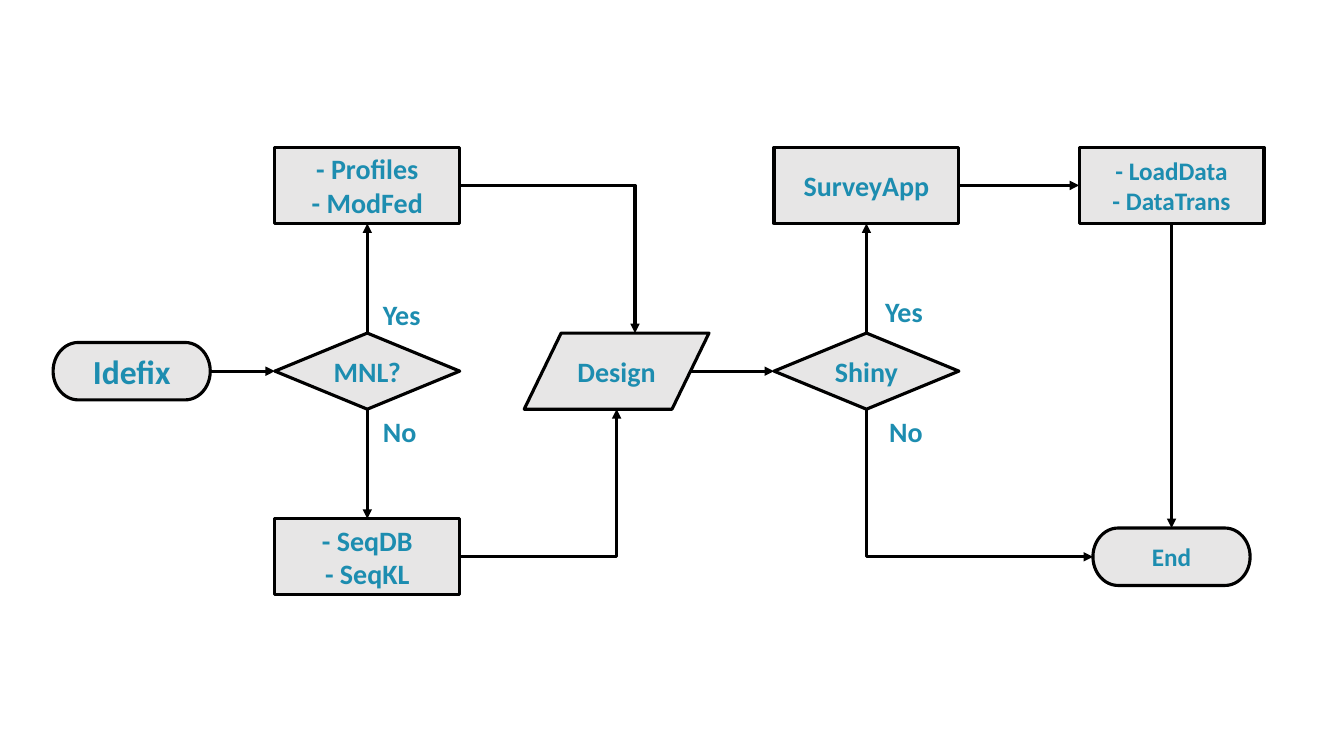
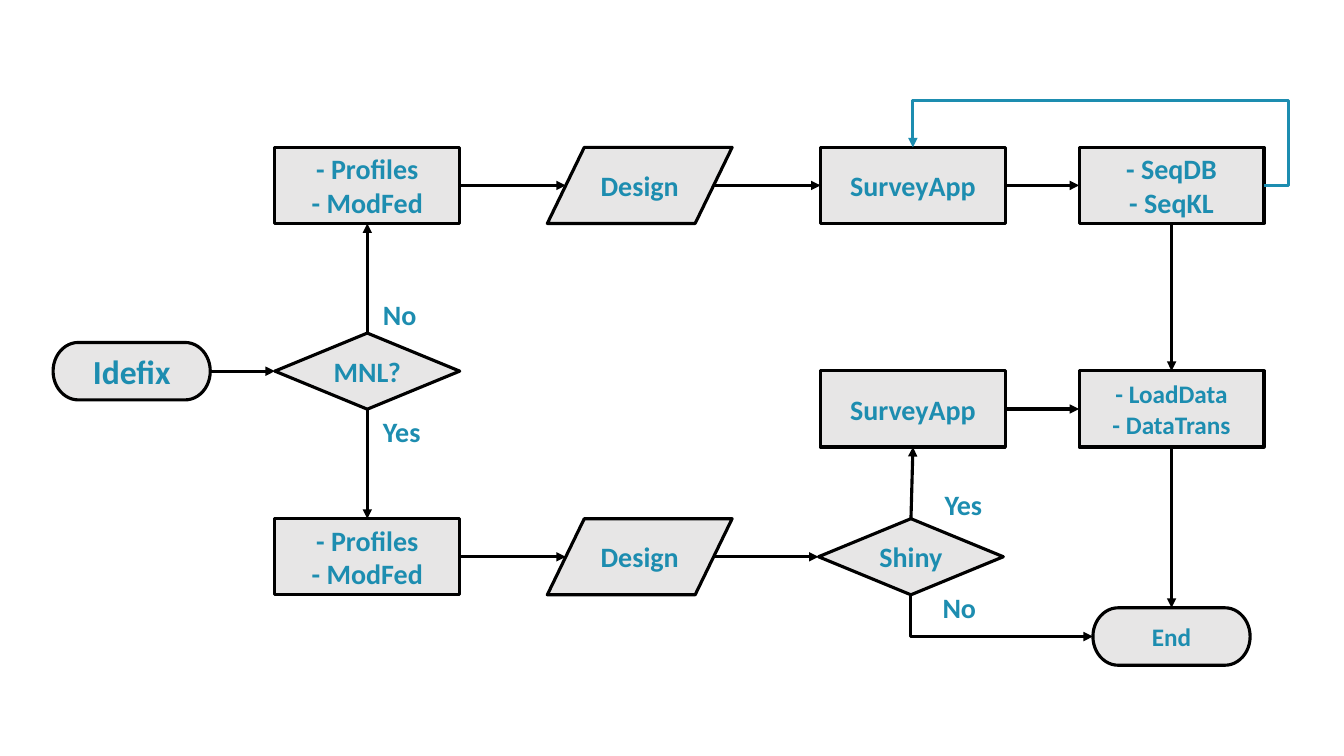
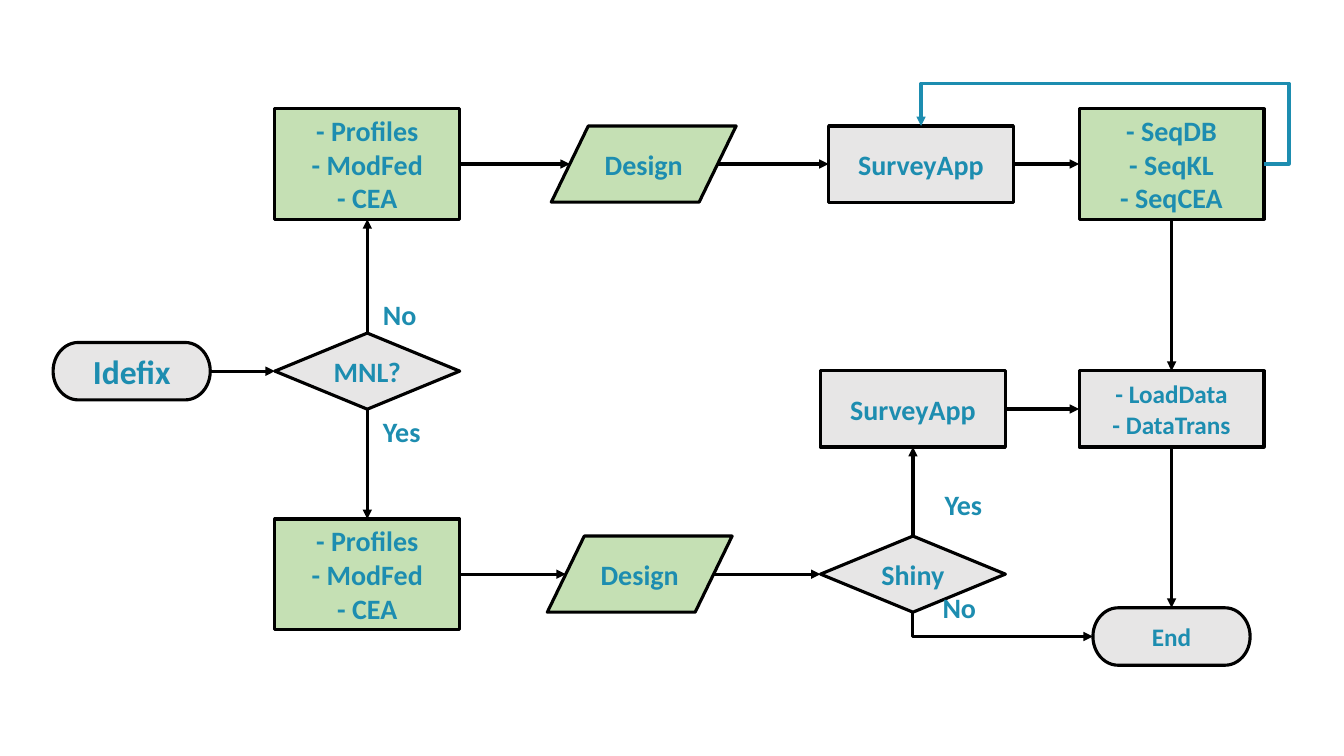
from lxml.etree import SubElement
from pptx import Presentation
from pptx.dml.color import RGBColor
from pptx.enum.shapes import MSO_CONNECTOR, MSO_SHAPE
from pptx.enum.text import MSO_ANCHOR, MSO_AUTO_SIZE, PP_ALIGN
from pptx.oxml.ns import qn
from pptx.util import Inches, Pt

BOX = MSO_SHAPE.FLOWCHART_PROCESS
TEST = MSO_SHAPE.FLOWCHART_DECISION
DATA = MSO_SHAPE.FLOWCHART_DATA
PILL = MSO_SHAPE.FLOWCHART_TERMINATOR
STRAIGHT, ELBOW = MSO_CONNECTOR.STRAIGHT, MSO_CONNECTOR.ELBOW
LEFT, CENTER = PP_ALIGN.LEFT, PP_ALIGN.CENTER
MIDDLE = MSO_ANCHOR.MIDDLE
GROW = MSO_AUTO_SIZE.SHAPE_TO_FIT_TEXT

HUES = {"text": "1D8DB0", "line": "000000", "gray": "E7E6E6", "green": "C5E0B4"}
PORTS = {"top": (0, 0.5, 0), "left": (1, 0, 0.5),
         "bottom": (2, 0.5, 1), "right": (3, 1, 0.5)}
SLANTS = {"top": (0, 0.6, 0), "left": (2, 0.1, 0.5),
          "bottom": (4, 0.5, 1), "right": (5, 0.9, 0.5)}
WIDE, HIGH, TALL = 13.75, 10.07, 14.6
START, FORK, LAST = 9.8, 27.33, 87.17
MID, LOW = 49.1, 73.65

FIRST = "- Profiles\n- ModFed"
NEXT = "- SeqDB\n- SeqKL"
LOAD = "- LoadData\n- DataTrans"


def color(name):
    return RGBColor.from_string(HUES[name])


def write(frame, text, size=20, align=LEFT, hue="text", bold=True, font="Calibri"):
    frame.text = text
    for para in frame.paragraphs:
        para.alignment = align
        for run in para.runs:
            run.font.name = font
            run.font.size = Pt(size)
            run.font.bold = bold
            run.font.color.rgb = color(hue)


class Chart:
    def __init__(self):
        self.deck = Presentation()
        self.deck.slide_width = Inches(13.33)
        self.deck.slide_height = Inches(7.5)
        self.shapes = None

    def page(self):
        self.shapes = self.deck.slides.add_slide(self.deck.slide_layouts[6]).shapes

    def x(self, share):
        return round(self.deck.slide_width * share / 100)

    def y(self, share):
        return round(self.deck.slide_height * share / 100)

    def node(self, kind, text, col, row, high=HIGH, fill="gray", size=20):
        wide = WIDE
        if kind == PILL:
            wide, high = 11.7, 7.6
        shape = self.shapes.add_shape(kind, self.x(col - wide / 2), self.y(row - high / 2),
                                      self.x(wide), self.y(high))
        shape.shadow.inherit = False
        shape.fill.solid()
        shape.fill.fore_color.rgb = color(fill)
        shape.line.color.rgb = color("line")
        shape.line.width = Pt(2.25)
        shape.text_frame.word_wrap = True
        shape.text_frame.vertical_anchor = MIDDLE
        write(shape.text_frame, text, size=size, align=CENTER)
        return shape

    def label(self, text, left, top):
        wide = 4.35 if text == "Yes" else 4.05
        box = self.shapes.add_textbox(self.x(left), self.y(top), self.x(wide), self.y(5.83))
        box.text_frame.word_wrap = False
        box.text_frame.auto_size = GROW
        write(box.text_frame, text)

    def port(self, shape, side):
        sites = SLANTS if shape.auto_shape_type == DATA else PORTS
        site, across, down = sites[side]
        return (site, round(shape.left + across * shape.width),
                round(shape.top + down * shape.height))

    def join(self, tail, out, head, into, form="straightConnector1", hue="line"):
        kind = STRAIGHT if form == "straightConnector1" else ELBOW
        ends = self.port(tail, out), self.port(head, into)
        link = self.shapes.add_connector(kind, *ends[0][1:], *ends[1][1:])
        link.line.color.rgb = color(hue)
        link.line.width = Pt(2.25)
        part = link.element.spPr
        part.find(qn("a:prstGeom")).set("prst", form)
        SubElement(part.find(qn("a:ln")), qn("a:tailEnd"), type="triangle")
        SubElement(part, qn("a:effectLst"))
        glue = link.element.find(".//" + qn("p:cNvCxnSpPr"))
        for tag, shape, end in zip(("a:stCxn", "a:endCxn"), (tail, head), ends):
            SubElement(glue, qn(tag), id=str(shape.shape_id), idx=str(end[0]))
        return link

    def flow(self, *nodes):
        for tail, head in zip(nodes, nodes[1:]):
            self.join(tail, "right", head, "left")

    def turn(self, tail, out, head, into):
        link = self.join(tail, out, head, into, form="bentConnector2")
        if out == "bottom":
            left, top, wide, high = link.left, link.top, link.width, link.height
            link.left = left + (wide - high) // 2
            link.top = top + (high - wide) // 2
            link.width, link.height = high, wide
            frame = link.element.spPr.find(qn("a:xfrm"))
            frame.set("rot", "16200000")
            frame.set("flipH", "1")

    def loop(self, tail, head, out, rise):
        link = self.join(tail, "right", head, "top", form="bentConnector4", hue="text")
        shares = (-self.x(out) / link.width, 1 + self.y(rise) / link.height)
        guides = link.element.spPr.find(".//" + qn("a:avLst"))
        for count, share in enumerate(shares, 1):
            SubElement(guides, qn("a:gd"), name=f"adj{count}",
                       fmla=f"val {round(share * 100000)}")

    def begin(self, above, below, words, top, low, high=HIGH, fill="gray"):
        self.page()
        start = self.node(PILL, "Idefix", START, MID, size=24)
        fork = self.node(TEST, "MNL?", FORK, MID)
        upper = self.node(BOX, above, FORK, top, high=high, fill=fill)
        lower = self.node(BOX, below, FORK, low, high=high, fill=fill)
        self.flow(start, fork)
        self.join(fork, "top", upper, "bottom")
        self.join(fork, "bottom", lower, "top")
        for word, row in zip(words, (38.67, 54.13)):
            self.label(word, 27.75, row)
        return upper, lower

    def finish(self, load, test, app, end, spots):
        self.flow(app, load)
        self.join(test, "top", app, "bottom")
        self.join(load, "bottom", end, "top")
        self.turn(test, "bottom", end, "left")
        for word, spot in zip(("Yes", "No"), spots):
            self.label(word, *spot)

    def single(self):
        top, step = 24.53, 64.47
        upper, lower = self.begin(FIRST, NEXT, ("Yes", "No"), top, LOW)
        design = self.node(DATA, "Design", 45.88, MID)
        test = self.node(TEST, "Shiny", step, MID)
        app = self.node(BOX, "SurveyApp", step, top)
        load = self.node(BOX, LOAD, LAST, top, size=18)
        end = self.node(PILL, "End", LAST, LOW, size=18)
        self.turn(upper, "right", design, "top")
        self.turn(lower, "right", design, "bottom")
        self.flow(design, test)
        self.finish(load, test, app, end, ((65.12, 38.27), (65.42, 54.13)))

    def double(self, extra, top, low, design, survey, test, rise, high=HIGH, fill="gray"):
        first = FIRST + ("\n- CEA" if extra else "")
        again = NEXT + ("\n- SeqCEA" if extra else "")
        upper, lower = self.begin(first, first, ("No", "Yes"), top, low, high, fill)
        plan = self.node(DATA, "Design", design, top, fill=fill)
        poll = self.node(BOX, "SurveyApp", survey, top)
        serial = self.node(BOX, again, LAST, top, high=high, fill=fill)
        draft = self.node(DATA, "Design", 47.6, low, fill=fill)
        shiny = self.node(TEST, "Shiny", test, low)
        app = self.node(BOX, "SurveyApp", 67.93, 54.1)
        load = self.node(BOX, LOAD, LAST, 54.1, size=18)
        end = self.node(PILL, "End", LAST, 84.2, size=18)
        self.flow(upper, plan, poll, serial)
        self.flow(lower, draft, shiny)
        self.join(serial, "bottom", load, "top")
        self.finish(load, shiny, app, end, ((69.54, 63.87), (69.39, 77.47)))
        self.loop(serial, poll, 1.85, rise)


chart = Chart()
chart.single()
chart.double(False, top=24.53, low=LOW, design=47.6, survey=67.93, test=67.78, rise=6.2)
chart.double(True, top=21.7, low=75.95, design=47.9, survey=68.53, test=67.93, rise=5.65,
             high=TALL, fill="green")
chart.deck.save("out.pptx")
